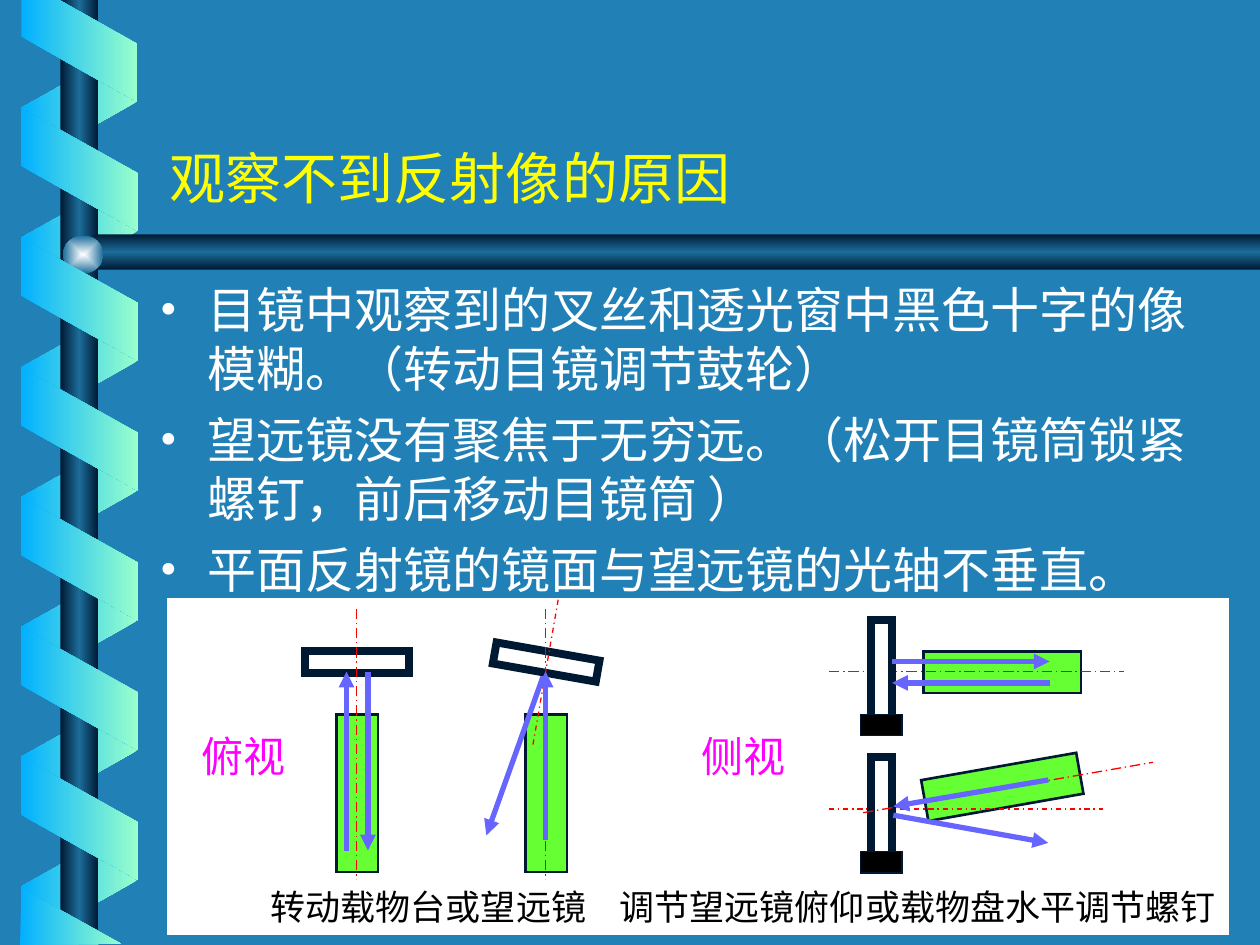
from lxml import etree
from pptx import Presentation
from pptx.dml.color import RGBColor
from pptx.enum.dml import MSO_LINE as Dash
from pptx.enum.shapes import MSO_CONNECTOR as Connector, MSO_SHAPE as Shape
from pptx.enum.text import MSO_ANCHOR as Anchor, MSO_AUTO_SIZE as AutoSize, PP_ALIGN as Align
from pptx.oxml import parse_xml
from pptx.oxml.ns import nsdecls, qn
from pptx.util import Emu, Pt

PX = 9144  # 100 px to the inch
BLUE = RGBColor(0x21, 0x81, 0xB7)
NAVY = RGBColor(0x00, 0x19, 0x32)
STEEL = RGBColor(0x1C, 0x6D, 0x9A)
SKY = RGBColor(0x01, 0xB0, 0xFF)
MINT = RGBColor(0x99, 0xFF, 0xCC)
PEARL = RGBColor(0xFE, 0xFF, 0xFF)
WHITE = RGBColor(0xFF, 0xFF, 0xFF)
BLACK = RGBColor(0x00, 0x00, 0x00)
YELLOW = RGBColor(0xFF, 0xFF, 0x00)
MAGENTA = RGBColor(0xFF, 0x00, 0xFF)
GREEN = RGBColor(0x66, 0xFF, 0x33)
RED = RGBColor(0xFF, 0x00, 0x00)
VIOLET = RGBColor(0x66, 0x66, 0xFF)

RIBBON = [(0, SKY), (100, MINT)]
RIBBON_BACK = [(0, MINT), (100, SKY)]
METAL = [(0, NAVY), (50, STEEL), (100, NAVY)]
ACROSS = '<a:lin ang="0" scaled="0"/>'
DOWN = '<a:lin ang="5400000" scaled="0"/>'
CENTRE = '<a:path path="rect"><a:fillToRect l="50000" t="50000" r="50000" b="50000"/></a:path>'


class SlideBuilder:
    font_name = "Times New Roman"

    def __init__(self, slide):
        self.slide = slide
        self.shapes = slide.shapes

    def stroke(self, shape, color, width, dash=None):
        shape.line.color.rgb = color
        shape.line.width = Pt(width)
        if dash:
            shape.line.dash_style = dash
        outline = shape._element.spPr.find(qn("a:ln"))
        etree.SubElement(outline, qn("a:miter")).set("lim", "800000")
        return outline

    def paint(self, shape, fill, line=None, width=0.75):
        shape.shadow.inherit = False
        shape.fill.solid()
        shape.fill.fore_color.rgb = fill
        if line is None:
            shape.line.fill.background()
        else:
            self.stroke(shape, line, width)
        return shape

    def gradient(self, shape, stops, direction):
        self.paint(shape, WHITE)
        marks = "".join(
            f'<a:gs pos="{place * 1000}"><a:srgbClr val="{color}"/></a:gs>'
            for place, color in stops)
        properties = shape._element.spPr
        solid = properties.find(qn("a:solidFill"))
        properties.replace(solid, parse_xml(
            f'<a:gradFill {nsdecls("a")} rotWithShape="0">'
            f"<a:gsLst>{marks}</a:gsLst>{direction}</a:gradFill>"))

    def preset(self, kind, left, top, width, height, rotation=0):
        shape = self.shapes.add_shape(kind, *(Emu(n * PX) for n in (left, top, width, height)))
        shape.rotation = rotation
        return shape

    def box(self, left, top, width, height, fill, line, line_width=0.75, rotation=0):
        shape = self.preset(Shape.RECTANGLE, left, top, width, height, rotation)
        return self.paint(shape, fill, line, line_width)

    def ribbon(self, top, height, stops, rotation, flip=False):
        shape = self.preset(Shape.PARALLELOGRAM, 14, top, 98, height, rotation)
        shape.adjustments[0] = 0.56
        if flip:
            shape._element.spPr.find(qn("a:xfrm")).set("flipH", "1")
        self.gradient(shape, stops, ACROSS)

    def outline(self, points, stops, direction):
        builder = self.shapes.build_freeform(*points[0], scale=PX)
        builder.add_line_segments(points[1:], close=True)
        self.gradient(builder.convert_to_shape(), stops, direction)

    def line(self, start, end, color, width, dash=None, arrow=False):
        connector = self.shapes.add_connector(
            Connector.STRAIGHT, *(Emu(n * PX) for n in (*start, *end)))
        connector._element.remove(connector._element.find(qn("p:style")))
        outline = self.stroke(connector, color, width, dash)
        if arrow:
            etree.SubElement(outline, qn("a:tailEnd")).set("type", "triangle")
        etree.SubElement(connector._element.spPr, qn("a:effectLst"))

    def axis(self, start, end, dash=Dash.LONG_DASH_DOT):
        self.line(start, end, RED, 0.75, dash)

    def ray(self, start, end):
        self.line(start, end, VIOLET, 3, arrow=True)

    def mirror(self, left, top, rotation=0):
        self.box(left, top, 83, 17, WHITE, NAVY, 4.5, rotation)

    def tube(self, left, top, rotation=0):
        self.box(left, top, 33, 125, GREEN, NAVY, 1.5, rotation)

    def text(self, left, top, width, height, lines, size, color, fill=None,
             bullet=False, **frame_format):
        shape = self.shapes.add_textbox(*(Emu(n * PX) for n in (left, top, width, height)))
        if fill is not None:
            self.paint(shape, fill)
        frame = shape.text_frame
        for name, value in frame_format.items():
            setattr(frame, name, value)
        font_format = {"name": self.font_name, "size": Pt(size)}
        for index, line in enumerate(lines):
            paragraph = frame.paragraphs[0] if index == 0 else frame.add_paragraph()
            paragraph.alignment = Align.LEFT
            if index:
                paragraph.space_before = Pt(7)
            if bullet:
                self.bullet(paragraph, color)
            paragraph.add_run().text = line
            for name, value in font_format.items():
                setattr(paragraph.runs[0].font, name, value)
            paragraph.runs[0].font.color.rgb = color

    def bullet(self, paragraph, color):
        properties = paragraph._p.get_or_add_pPr()
        properties.set("marL", str(38 * PX))
        properties.set("indent", str(-38 * PX))
        tint = etree.SubElement(properties, qn("a:buClr"))
        etree.SubElement(tint, qn("a:srgbClr")).set("val", str(color))
        etree.SubElement(properties, qn("a:buFont")).set("typeface", self.font_name)
        etree.SubElement(properties, qn("a:buChar")).set("char", "•")


def main():
    presentation = Presentation()
    presentation.slide_width = Emu(1000 * PX)
    presentation.slide_height = Emu(750 * PX)
    slide = presentation.slides.add_slide(presentation.slide_layouts[6])
    slide.background.fill.solid()
    slide.background.fill.fore_color.rgb = BLUE
    builder = SlideBuilder(slide)

    # Ribbon wound around a pole, with a crossbar
    pitch = 103
    for turn in range(7):
        builder.ribbon(37 + pitch * turn, 92, RIBBON_BACK, 90, flip=True)
    builder.gradient(builder.preset(Shape.RECTANGLE, 48, 0, 30, 750), METAL, ACROSS)
    builder.outline([(1000, 186), (76, 186), (60, 200), (76, 214), (1000, 214)], METAL, DOWN)
    builder.gradient(builder.preset(Shape.OVAL, 50, 187, 32, 30),
                     [(0, PEARL), (100, STEEL)], CENTRE)
    for turn in range(6):
        builder.ribbon(88 + pitch * turn, 93, RIBBON, 270)
    builder.outline([(17, 0), (17, 29), (109, 81), (109, 35), (47, 0)], RIBBON, ACROSS)
    builder.outline([(96, 749), (17, 705), (16, 750)], RIBBON, ACROSS)

    # Title and reasons
    builder.text(125, 109, 850, 63, ["观察不到反射像的原因"], 32, YELLOW,
                 word_wrap=True, vertical_anchor=Anchor.BOTTOM,
                 auto_size=AutoSize.SHAPE_TO_FIT_TEXT)
    builder.text(117, 217, 858, 450, [
        "目镜中观察到的叉丝和透光窗中黑色十字的像模糊。（转动目镜调节鼓轮）",
        "望远镜没有聚焦于无穷远。（松开目镜筒锁紧螺钉，前后移动目镜筒 ）",
        "平面反射镜的镜面与望远镜的光轴不垂直。",
    ], 28, WHITE, bullet=True, word_wrap=True)

    # Diagram panel
    builder.box(133, 475, 842, 267, WHITE, WHITE)

    # Top view: mirror square to the tube, then turned
    for left, turn in ((242, 0), (392, 10)):
        builder.mirror(left, 517, turn)
        builder.tube(left + 25, 567)
        builder.axis((left + 41, 483), (left + 41, 717))
    builder.axis((443, 476), (423, 591), Dash.DASH_DOT)
    builder.ray((275, 675), (275, 533))
    builder.ray((292, 533), (292, 675))
    builder.ray((433, 667), (433, 533))
    builder.ray((431, 537), (386, 663))

    # Side view: level tube, then tilted
    for tube_top, tilt, axis_y, axis_end, dash in (
            (471, 270, 533, 892, Dash.LONG_DASH_DOT), (562, 260, 642, 875, Dash.DASH_DOT)):
        builder.tube(779, tube_top, tilt)
        builder.axis((658, axis_y), (axis_end, axis_y), dash)
        builder.mirror(658, axis_y - 8, 270)
        builder.box(683, axis_y + 34, 33, 17, BLACK, NAVY)
    builder.axis((685, 645), (915, 605))
    builder.ray((833, 542), (708, 542))
    builder.ray((708, 525), (833, 525))
    builder.ray((832, 619), (709, 640))
    builder.ray((709, 647), (832, 669))

    # Labels and captions, each on one line
    label_format = {"word_wrap": False, "auto_size": AutoSize.SHAPE_TO_FIT_TEXT}
    for left, label in ((150, "俯视"), (547, "侧视")):
        builder.text(left, 575, 90, 50, [label], 24, MAGENTA, **label_format)
    for left, width, caption in ((205, 274, "转动载物台或望远镜"),
                                 (482, 493, "调节望远镜俯仰或载物盘水平调节螺钉")):
        builder.text(left, 698, width, 44, [caption], 20, BLACK, WHITE, **label_format)

    presentation.save("out.pptx")


if __name__ == "__main__":
    main()
